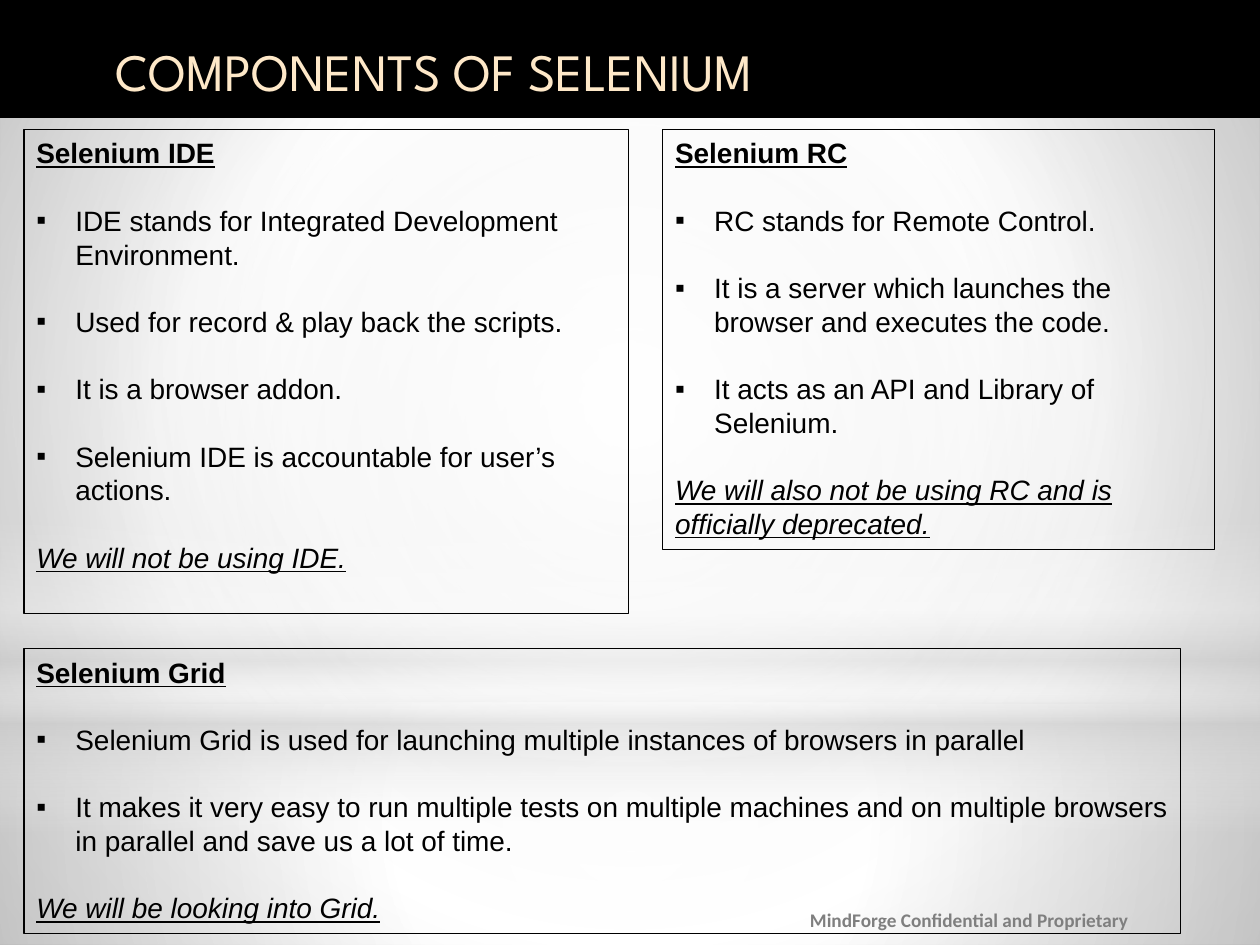
"""Build the slide on the components of Selenium."""
import pptx
import pptx.dml.color
import pptx.enum.shapes
import pptx.enum.text
import pptx.oxml
import pptx.oxml.ns
import pptx.util
from pptx.util import Inches

qn = pptx.oxml.ns.qn
Pt = pptx.util.Pt
SHAPES = pptx.enum.shapes.MSO_SHAPE
ANCHORS = pptx.enum.text.MSO_ANCHOR


def color(value):
    """Turn a hex string into a colour."""
    return pptx.dml.color.RGBColor.from_string(value)


def set_gradient(properties, stops, linear=False):
    """Put a gradient of (position, colour, opacity) stops in place of a solid fill."""
    marks = "".join(
        f'<a:gs pos="{position * 1000}"><a:srgbClr val="{value}">'
        f'<a:alpha val="{opacity * 1000}"/></a:srgbClr></a:gs>'
        for position, value, opacity in stops
    )
    direction = '<a:lin ang="5400000" scaled="0"/>' if linear else (
        '<a:path path="circle"><a:fillToRect l="50000" t="50000" r="50000" b="50000"/></a:path>'
    )
    gradient = pptx.oxml.parse_xml(
        f'<a:gradFill {pptx.oxml.ns.nsdecls("a")} rotWithShape="1">'
        f"<a:gsLst>{marks}</a:gsLst>{direction}</a:gradFill>"
    )
    solid = properties.find(qn("a:solidFill"))
    properties.replace(solid, gradient)


deck = pptx.Presentation()
deck.slide_width, deck.slide_height = Inches(10), Inches(7.5)
page = deck.slides.add_slide(deck.slide_layouts[6])

page.background.fill.solid()
set_gradient(
    page.element.find(".//" + qn("p:bgPr")),
    [(0, "C3C3C3", 100), (60, "FFFFFF", 100), (100, "A4A4A4", 100)],
)

glows = [
    (SHAPES.RECTANGLE, 5.58, 1.92, False,
     [(0, "FFFFFF", 91), (37, "FFFFFF", 76), (100, "CCCCCC", 79)]),
    (SHAPES.RECTANGLE, 0, 5.58, False,
     [(0, "FFFFFF", 89), (48, "FFFFFF", 62), (100, "CCCCCC", 79)]),
    (SHAPES.RECTANGLE, 4.12, 2.5, True,
     [(0, "FFFFFF", 0), (29, "FFFFFF", 30), (45, "CCCCCC", 40),
      (55, "FFFFFF", 26), (65, "CCCCCC", 60), (100, "FFFFFF", 0)]),
    (SHAPES.OVAL, 0.46, 5.58, False,
     [(0, "FFFFFF", 100), (56, "FFFFFF", 0), (100, "FFFFFF", 0)]),
]
for kind, top, height, linear, stops in glows:
    glow = page.shapes.add_shape(kind, 0, Inches(top), Inches(10), Inches(height))
    glow.shadow.inherit = False
    glow.line.fill.background()
    glow.fill.solid()
    set_gradient(glow._element.spPr, stops, linear)

banner = page.shapes.add_shape(SHAPES.RECTANGLE, 0, 0, Inches(10), Inches(0.93))
banner.shadow.inherit = False
banner.fill.solid()
banner.fill.fore_color.rgb = color("000000")
banner.line.color.rgb = color("000000")
banner.line.width = Pt(1.25)

labels = [
    ("MindForge Confidential and Proprietary", 6.33, 7.1, 3.67, 0.4,
     "Calibri", 11, "7F7F7F", True, ANCHORS.MIDDLE),
    ("COMPONENTS OF SELENIUM", 0.82, 0.26, 8.44, 0.8,
     "League Spartan", 30, "FEE8C8", False, ANCHORS.TOP),
]
for text, left, top, width, height, font, size, ink, bold, anchor in labels:
    label = page.shapes.add_textbox(Inches(left), Inches(top), Inches(width), Inches(height))
    label.text_frame.word_wrap = True
    label.text_frame.vertical_anchor = anchor
    label.text_frame.text = text
    span = label.text_frame.paragraphs[0].runs[0]
    span.font.name = font
    span.font.size = Pt(size)
    span.font.bold = bold
    span.font.color.rgb = color(ink)

components = [
    (0.19, 1.03, 4.8, 3.84, "Selenium IDE", [
        "IDE stands for Integrated Development Environment.",
        "Used for record & play back the scripts.",
        "It is a browser addon.",
        "Selenium IDE is accountable for user’s actions.",
    ], "We will not be using IDE."),
    (5.26, 1.03, 4.38, 3.33, "Selenium RC", [
        "RC stands for Remote Control.",
        "It is a server which launches the browser and executes the code.",
        "It acts as an API and Library of Selenium.",
    ], "We will also not be using RC and is officially deprecated."),
    (0.19, 5.15, 9.18, 2.26, "Selenium Grid", [
        "Selenium Grid is used for launching multiple instances of browsers in parallel",
        "It makes it very easy to run multiple tests on multiple machines and on multiple "
        "browsers in parallel and save us a lot of time.",
    ], "We will be looking into Grid."),
]
for left, top, width, height, heading, points, verdict in components:
    box = page.shapes.add_shape(
        SHAPES.RECTANGLE, Inches(left), Inches(top), Inches(width), Inches(height)
    )
    box.shadow.inherit = False
    box.fill.background()
    box.line.color.rgb = color("000000")
    box.line.width = Pt(0.75)
    frame = box.text_frame
    frame.word_wrap = True
    frame.vertical_anchor = ANCHORS.TOP
    frame.text = "\n".join([heading, *points, verdict])
    last = len(points) + 1
    for index, para in enumerate(frame.paragraphs):
        para.alignment = pptx.enum.text.PP_ALIGN.LEFT
        para.line_spacing = Pt(19.25)
        para.space_before = Pt(19.25 if index else 0)
        span = para.runs[0]
        span.font.name = "Arial"
        span.font.size = Pt(16)
        span.font.color.rgb = color("000000")
        span.font.bold = index == 0
        span.font.italic = index == last
        span.font.underline = index in (0, last)
        if 0 < index < last:
            layout = para._p.get_or_add_pPr()
            layout.set("marL", str(Inches(0.31)))
            layout.set("indent", str(Inches(-0.31)))
            layout.append(pptx.oxml.parse_xml(
                f'<a:buFont {pptx.oxml.ns.nsdecls("a")} typeface="Arial"/>'
            ))
            layout.append(pptx.oxml.parse_xml(
                f'<a:buChar {pptx.oxml.ns.nsdecls("a")} char="▪"/>'
            ))

deck.save("out.pptx")
